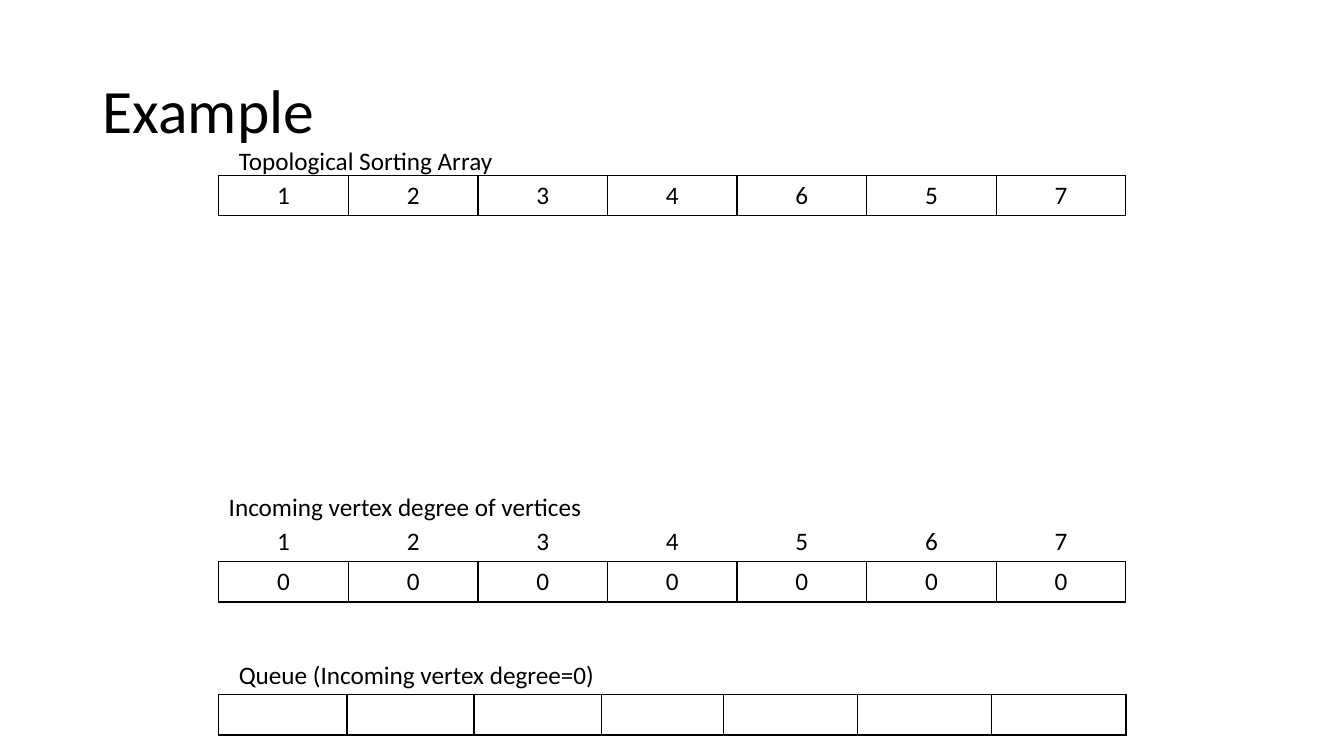
import dataclasses
import pptx
import pptx.util
import pptx.dml.color
import pptx.enum.text
import lxml.etree


@dataclasses.dataclass(frozen=True)
class Theme:
    """Colours and type sizes of the deck."""
    ink: str = "000000"
    paper: str = "FFFFFF"
    face: str = "Calibri"
    head: int = 44
    body: int = 18
    rule: int = 1


THEME = Theme()
WIDE, HIGH = pptx.util.Inches(13.33), pptx.util.Inches(7.5)
COL, ROW = WIDE / 100, HIGH / 100  # a grid of 100 columns and 100 rows
LEFT, SPAN, STEP = 16.28, 67.5, 5.35  # table edge, width and row height
ALIGN = pptx.enum.text.PP_ALIGN
ANCHOR = pptx.enum.text.MSO_ANCHOR
EVEN = [1] * 7


def place(box):
    """Turn a box of columns and rows into slide lengths."""
    left, top, width, height = box
    return [round(n) for n in (left * COL, top * ROW, width * COL, height * ROW)]


def style(para, size, align=ALIGN.LEFT):
    """Set the font and alignment of a paragraph."""
    para.font.name = THEME.face
    para.font.size = pptx.util.Pt(size)
    para.font.color.rgb = pptx.dml.color.RGBColor.from_string(THEME.ink)
    para.alignment = align


def label(slide, box, text, size=THEME.body, anchor=ANCHOR.TOP, wrap=False):
    """Write one line of text in the box."""
    frame = slide.shapes.add_textbox(*place(box)).text_frame
    frame.word_wrap = wrap
    frame.vertical_anchor = anchor
    para = frame.paragraphs[0]
    para.text = text
    style(para, size)
    return para


def border(cell, sides):
    """Rule the named sides of a cell and clear the others."""
    props = cell._tc.get_or_add_tcPr()
    for spot, side in enumerate("LRTB"):
        line = lxml.etree.Element(pptx.oxml.ns.qn("a:ln" + side))
        line.set("w", str(pptx.util.Pt(THEME.rule)))
        kind = "a:solidFill" if side in sides else "a:noFill"
        fill = lxml.etree.SubElement(line, pptx.oxml.ns.qn(kind))
        if side in sides:
            tint = lxml.etree.SubElement(fill, pptx.oxml.ns.qn("a:srgbClr"))
            tint.set("val", THEME.ink)
        props.insert(spot, line)


def array(slide, box, rows, parts=EVEN, header=False):
    """Draw rows of values in the box, with columns sized by their parts."""
    grid = slide.shapes.add_table(len(rows), len(parts), *place(box)).table
    grid.first_row = grid.horz_banding = False
    for col, part in zip(grid.columns, parts):
        col.width = round(box[2] * COL * part / sum(parts))
    for r, row in enumerate(rows):
        for c, value in enumerate(row):
            cell = grid.cell(r, c)
            cell.fill.background()
            border(cell, "B" if header and r == 0 else "LRTB")
            cell.text = value
            style(cell.text_frame.paragraphs[0], THEME.body, ALIGN.CENTER)


def example(slide):
    """Lay out the title and the three captioned arrays."""
    title = label(slide, (6.9, 5.33, 86.25, 19.33), "Example",
                  THEME.head, ANCHOR.MIDDLE, True)
    title.line_spacing = 0.9
    array(slide, (LEFT, 23.2, SPAN, STEP), ["1234657"])
    label(slide, (LEFT, 64.27, 28.05, STEP), "Incoming vertex degree of vertices")
    array(slide, (LEFT, 68.93, SPAN, 2 * STEP), ["1234567", "0" * 7], header=True)
    label(slide, (17.03, 18.53, 20.63, STEP), "Topological Sorting Array")
    array(slide, (LEFT, 91.87, SPAN, STEP), [[""] * 7],
          [1.27, 1.26, 1.26, 1.21, 1.33, 1.33, 1.33])
    label(slide, (17.03, 86.53, 28.28, STEP), "Queue (Incoming vertex degree=0)")


deck = pptx.Presentation()
deck.slide_width, deck.slide_height = WIDE, HIGH
page = deck.slides.add_slide(deck.slide_layouts[6])
page.background.fill.solid()
page.background.fill.fore_color.rgb = pptx.dml.color.RGBColor.from_string(THEME.paper)
example(page)
deck.save("out.pptx")
